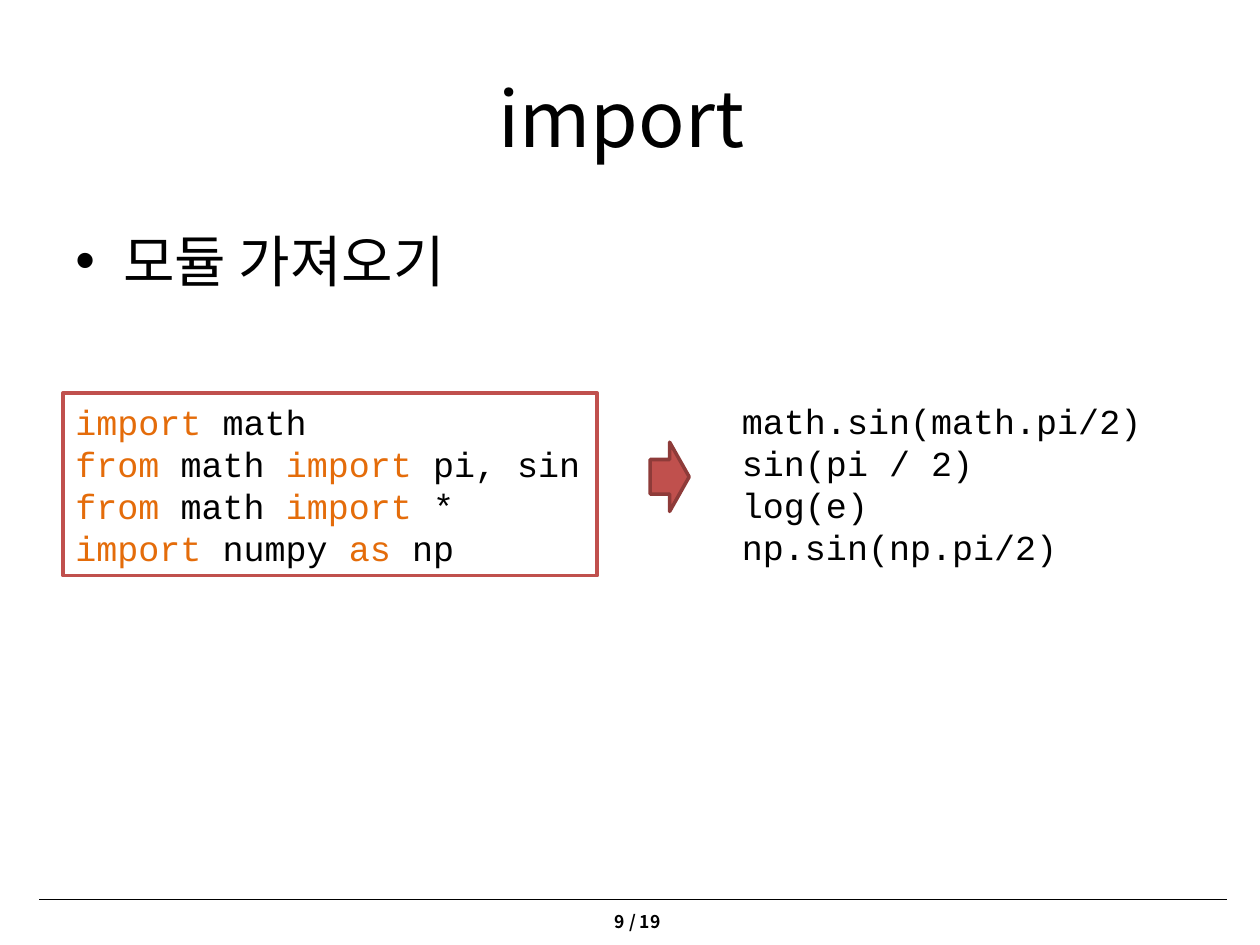
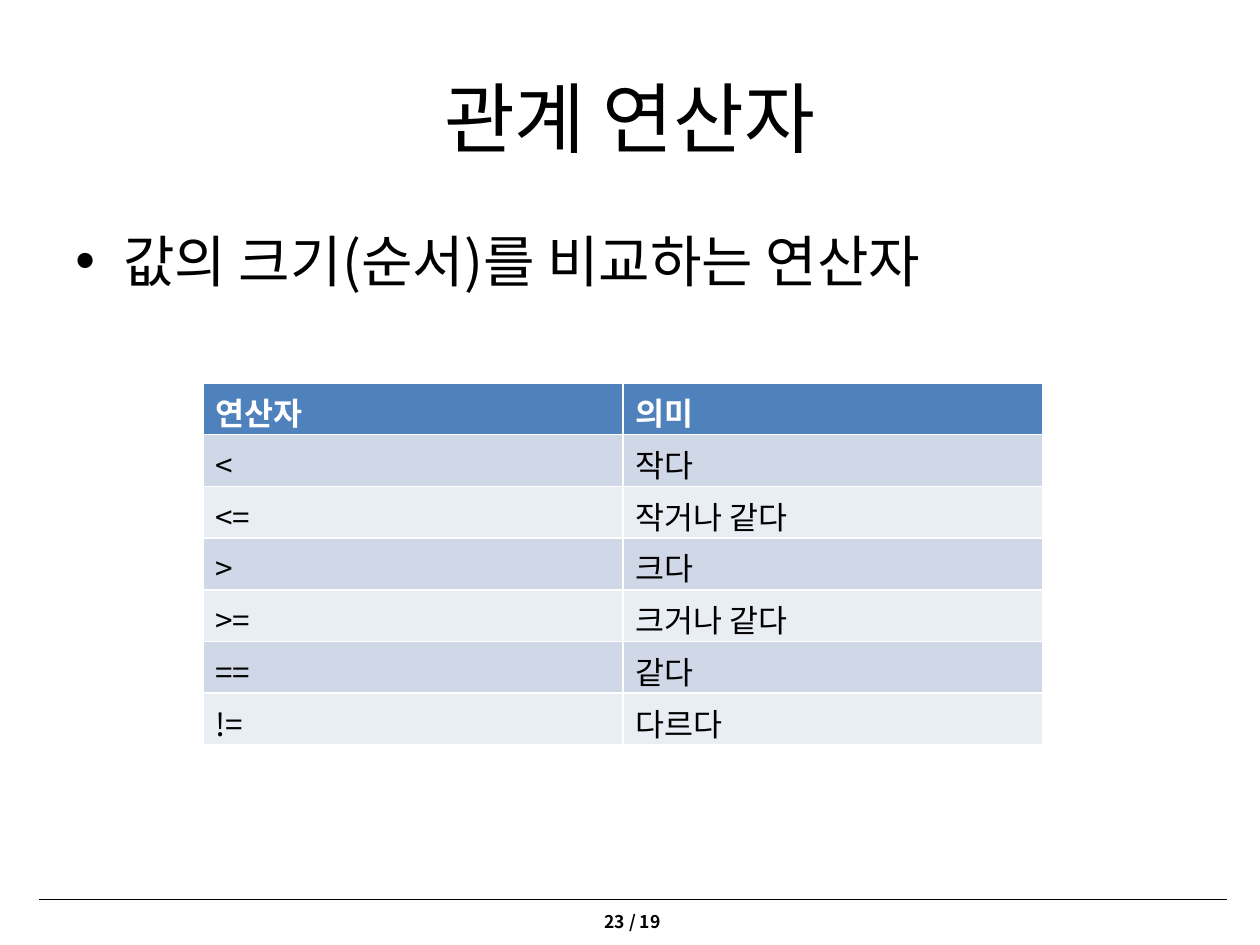
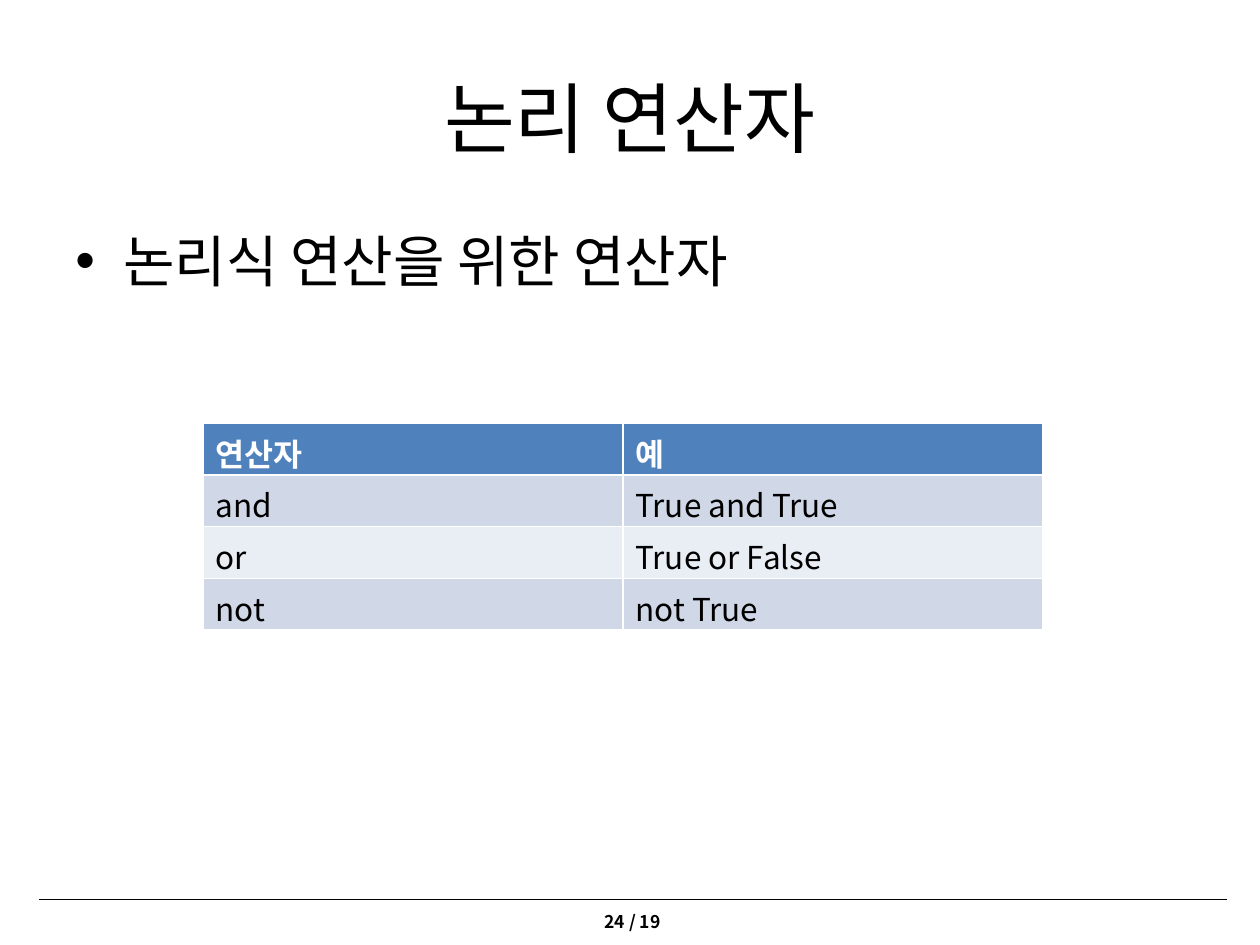
from dataclasses import dataclass
from typing import NamedTuple

from lxml.etree import SubElement
from pptx import Presentation
from pptx.dml.color import RGBColor
from pptx.enum.shapes import MSO_CONNECTOR, MSO_SHAPE
from pptx.enum.text import MSO_ANCHOR, MSO_AUTO_SIZE, PP_ALIGN
from pptx.oxml.ns import qn
from pptx.util import Inches, Pt

WIDE, HIGH = Inches(10), Inches(7.5)


@dataclass(frozen=True)
class Theme:
    sans: str = "Noto Sans CJK KR"
    mono: str = "Courier New"
    ink: str = "000000"
    paper: str = "FFFFFF"
    red: str = "C0504D"
    edge: str = "8E3B39"
    key: str = "E46C0A"
    head: str = "4F81BD"
    bands: tuple[str, str] = ("D0D8E8", "E9EDF4")
    title: float = 44
    body: float = 32
    code: float = 20
    cell: float = 18
    foot: float = 10


class Box(NamedTuple):
    left: float
    top: float
    width: float
    height: float

    def place(self) -> tuple[int, int, int, int]:
        return across(self.left), down(self.top), across(self.width), down(self.height)


class Page(NamedTuple):
    number: int
    title: str
    point: str


class Grid(NamedTuple):
    page: Page
    top: float
    rows: tuple[tuple[str, str], ...]


THEME = Theme()
TITLE = Box(5, 4, 90, 16.67)
BODY = Box(5, 23.33, 90, 66)
FOOT = Box(46.3, 95.73, 7.1, 3.6)
RULE = Box(3.1, 95.2, 94.3, 0)
CODE = Box(5, 41.6, 42.4, 19.33)
CALLS = Box(57.9, 41.6, 34, 19.33)
ARROW = Box(51.6, 46.8, 3.1, 7.33)
LEFT, SPAN, ROW = 16.1, 66.7, 5.47
TOTAL = 19
WORDS = {"import", "from", "as"}

IMPORT = Page(9, "import ", "모듈 가져오기")
LINES = ("import math", "from math import pi, sin", "from math import *", "import numpy as np")
USES = ("math.sin(math.pi/2)", "sin(pi / 2)", "log(e)", "np.sin(np.pi/2)")
GRIDS = (
    Grid(Page(23, "관계 연산자", "값의 크기(순서)를 비교하는 연산자"), 40.53, (
        ("연산자", "의미"),
        ("<", "작다"),
        ("<=", "작거나 같다"),
        (">", "크다"),
        (">=", "크거나 같다"),
        ("==", "같다"),
        ("!=", "다르다"),
    )),
    Grid(Page(24, "논리 연산자", "논리식 연산을 위한 연산자"), 44.8, (
        ("연산자", "예"),
        ("and", "True and True"),
        ("or", "True or False"),
        ("not", "not True"),
    )),
)


def across(share: float) -> int:
    return round(WIDE * share / 100)


def down(share: float) -> int:
    return round(HIGH * share / 100)


def tint(name: str) -> RGBColor:
    return RGBColor.from_string(name)


def paint(fill, name: str) -> None:
    fill.solid()
    fill.fore_color.rgb = tint(name)


def style(para, size: float, face: str = THEME.sans, ink: str = THEME.ink,
          bold: bool = False) -> None:
    font = para.font
    font.size, font.name, font.bold = Pt(size), face, bold
    font.color.rgb = tint(ink)
    base = para._p.pPr.find(qn("a:defRPr"))
    SubElement(base, qn("a:ea")).set("typeface", face)


def label(slide, box: Box, wrap: bool = False):
    shape = slide.shapes.add_textbox(*box.place())
    shape.text_frame.word_wrap = wrap
    if not wrap:
        shape.text_frame.auto_size = MSO_AUTO_SIZE.SHAPE_TO_FIT_TEXT
    return shape


def form(slide, kind: MSO_SHAPE, box: Box, fill: str, line: str):
    shape = slide.shapes.add_shape(kind, *box.place())
    shape.shadow.inherit = False
    paint(shape.fill, fill)
    shape.line.color.rgb = tint(line)
    shape.line.width = Pt(2)
    return shape


def footer(slide, number: int) -> None:
    left, top, width, _ = RULE.place()
    rule = slide.shapes.add_connector(MSO_CONNECTOR.STRAIGHT, left, top, left + width, top)
    rule.line.color.rgb = tint(THEME.ink)
    rule.line.width = Pt(0.5)
    SubElement(rule._element.spPr, qn("a:effectLst"))
    para = label(slide, FOOT).text_frame.paragraphs[0]
    para.text = f"{number} / {TOTAL}"
    para.alignment = PP_ALIGN.RIGHT
    style(para, THEME.foot, bold=True)


def heading(slide, text: str) -> None:
    title = slide.shapes.title
    title.left, title.top, title.width, title.height = TITLE.place()
    title.text_frame.vertical_anchor = MSO_ANCHOR.MIDDLE
    para = title.text_frame.paragraphs[0]
    para.text = text
    para.alignment = PP_ALIGN.CENTER
    style(para, THEME.title)


def bullet(slide, text: str) -> None:
    para = label(slide, BODY, wrap=True).text_frame.paragraphs[0]
    para.text = text
    para.space_before = Pt(THEME.body * 0.2)
    props = para._p.get_or_add_pPr()
    props.set("marL", str(Inches(0.38)))
    props.set("indent", str(-Inches(0.38)))
    SubElement(props, qn("a:buFont")).set("typeface", "Arial")
    SubElement(props, qn("a:buChar")).set("char", "•")
    style(para, THEME.body)


def start(deck, page: Page):
    slide = deck.slides.add_slide(deck.slide_layouts[5])
    paint(slide.background.fill, THEME.paper)
    footer(slide, page.number)
    heading(slide, page.title)
    bullet(slide, page.point)
    return slide


def code(shape, lines: tuple[str, ...], words: set[str]) -> None:
    frame = shape.text_frame
    frame.word_wrap = False
    frame.auto_size = MSO_AUTO_SIZE.SHAPE_TO_FIT_TEXT
    for row, line in enumerate(lines):
        para = frame.add_paragraph() if row else frame.paragraphs[0]
        para.alignment = PP_ALIGN.LEFT
        style(para, THEME.code, THEME.mono)
        parts = line.split(" ")
        for spot, part in enumerate(parts, 1):
            run = para.add_run()
            run.text = part if spot == len(parts) else part + " "
            run.font.color.rgb = tint(THEME.key if part in words else THEME.ink)


def table(slide, grid: Grid) -> None:
    count = len(grid.rows)
    box = Box(LEFT, grid.top, SPAN, ROW * count)
    body = slide.shapes.add_table(count, len(grid.rows[0]), *box.place()).table
    for row, texts in enumerate(grid.rows):
        fill = THEME.bands[(row - 1) % 2] if row else THEME.head
        for col, text in enumerate(texts):
            cell = body.cell(row, col)
            paint(cell.fill, fill)
            para = cell.text_frame.paragraphs[0]
            para.text = text
            style(para, THEME.cell, ink=THEME.ink if row else THEME.paper, bold=not row)


def main() -> None:
    deck = Presentation()
    deck.slide_width, deck.slide_height = WIDE, HIGH
    slide = start(deck, IMPORT)
    code(form(slide, MSO_SHAPE.RECTANGLE, CODE, THEME.paper, THEME.red), LINES, WORDS)
    code(label(slide, CALLS), USES, set())
    form(slide, MSO_SHAPE.RIGHT_ARROW, ARROW, THEME.red, THEME.edge)
    for grid in GRIDS:
        table(start(deck, grid.page), grid)
    deck.save("out.pptx")


if __name__ == "__main__":
    main()
